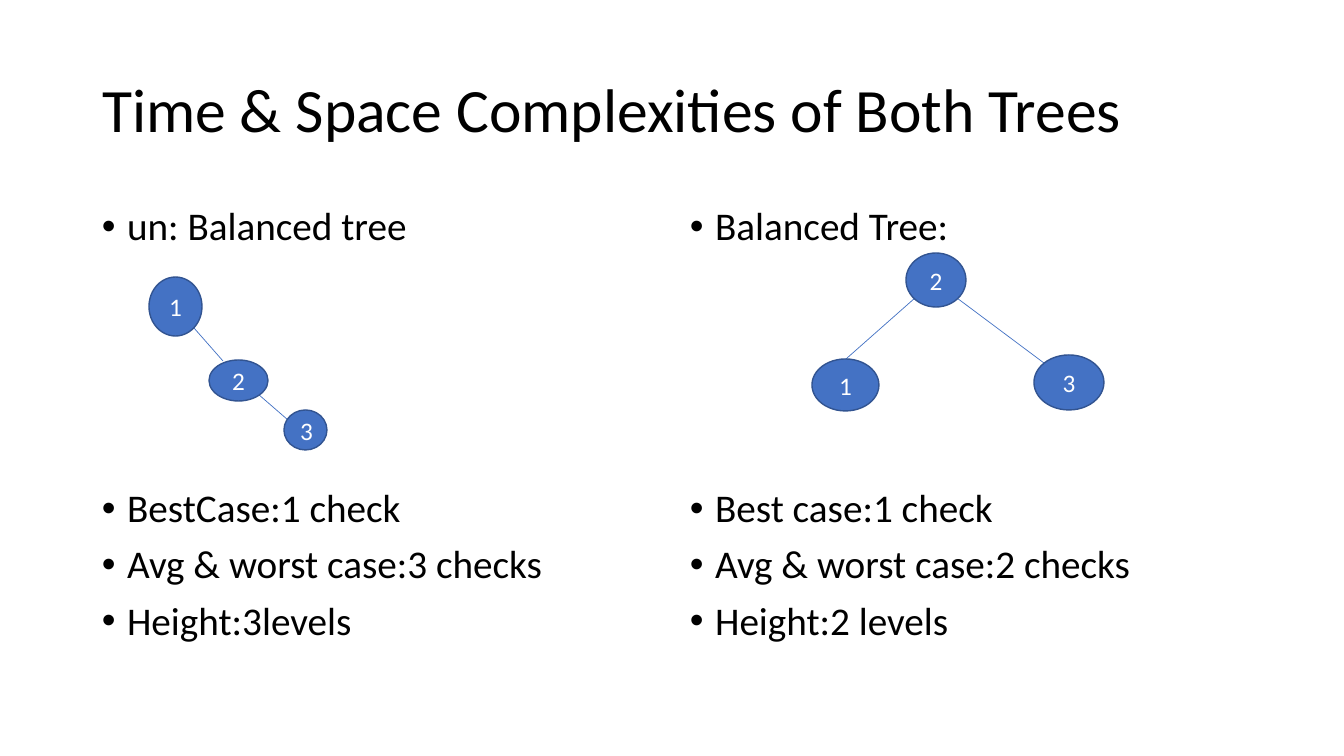
"""Build a slide that compares an unbalanced and a balanced tree."""
from pptx import Presentation, util as u
from pptx.dml.color import RGBColor
from pptx.enum import shapes, text
from pptx.oxml.ns import qn
from lxml import etree

TITLE = "Time & Space Complexities of Both Trees"
TREES = [
    {
        "left": 92,
        "lines": ["un: Balanced tree", "BestCase:1 check",
                  "Avg & worst case:3 checks", "Height:3levels"],
        "nodes": [("1", 149, 277, 53, 59), ("2", 209, 360, 59, 41),
                  ("3", 284, 410, 43, 40)],
        "edges": [(194, 328, 223, 361), (258, 394, 288, 420)],
    },
    {
        "left": 680,
        "lines": ["Balanced Tree:", "Best case:1 check",
                  "Avg & worst case:2 checks", "Height:2 levels"],
        "nodes": [("2", 906, 253, 60, 54), ("1", 812, 359, 67, 52),
                  ("3", 1034, 355, 70, 55)],
        "edges": [(915, 298, 846, 359), (957, 298, 1044, 363)],
    },
]
BLUE, RIM, BLACK, WHITE = "4472C4", "325491", "000000", "FFFFFF"
GAP, TREE_GAP = 10, 171


def px(*vals):
    return [round(v * 914400 / 100.8) for v in vals]


def tint(color, code):
    color.rgb = RGBColor.from_string(code)


def write(para, words, size, code):
    run = para.add_run()
    run.text = words
    run.font.size = u.Pt(size)
    run.font.name = "Calibri"
    tint(run.font.color, code)


def bullet(para):
    props = para._p.get_or_add_pPr()
    props.set("marL", str(u.Inches(0.25)))
    props.set("indent", str(-u.Inches(0.25)))
    etree.SubElement(props, qn("a:buFont")).set("typeface", "Arial")
    etree.SubElement(props, qn("a:buChar")).set("char", "\u2022")


def add_list(left, lines):
    frame = slide.shapes.add_textbox(*px(left, 202, 572, 480)).text_frame
    frame.word_wrap = True
    for i, line in enumerate(lines):
        para = frame.add_paragraph() if i else frame.paragraphs[0]
        para.line_spacing = 0.9
        para.space_before = u.Pt(TREE_GAP if i == 1 else GAP)
        bullet(para)
        write(para, line, 28, BLACK)


def add_edge(ends):
    edge = slide.shapes.add_connector(shapes.MSO_CONNECTOR.STRAIGHT, *px(*ends))
    tint(edge.line.color, BLUE)
    edge.line.width = u.Pt(0.5)
    etree.SubElement(edge._element.spPr, qn("a:effectLst"))


def add_node(label, *box):
    node = slide.shapes.add_shape(shapes.MSO_SHAPE.OVAL, *px(*box))
    node.shadow.inherit = False
    node.fill.solid()
    tint(node.fill.fore_color, BLUE)
    tint(node.line.color, RIM)
    node.line.width = u.Pt(1)
    frame = node.text_frame
    frame.vertical_anchor = text.MSO_ANCHOR.MIDDLE
    para = frame.paragraphs[0]
    para.alignment = text.PP_ALIGN.CENTER
    write(para, label, 18, WHITE)


deck = Presentation()
deck.slide_width, deck.slide_height = px(1344, 756)
slide = deck.slides.add_slide(deck.slide_layouts[5])

title = slide.shapes.title
title.left, title.top, title.width, title.height = px(92, 40, 1159, 146)
frame = title.text_frame
frame.auto_size = text.MSO_AUTO_SIZE.NONE
frame.vertical_anchor = text.MSO_ANCHOR.MIDDLE
head = frame.paragraphs[0]
head.alignment = text.PP_ALIGN.LEFT
head.line_spacing = 0.9
write(head, TITLE, 44, BLACK)

for tree in TREES:
    add_list(tree["left"], tree["lines"])
    for ends in tree["edges"]:
        add_edge(ends)
    for node in tree["nodes"]:
        add_node(*node)

deck.save("out.pptx")
